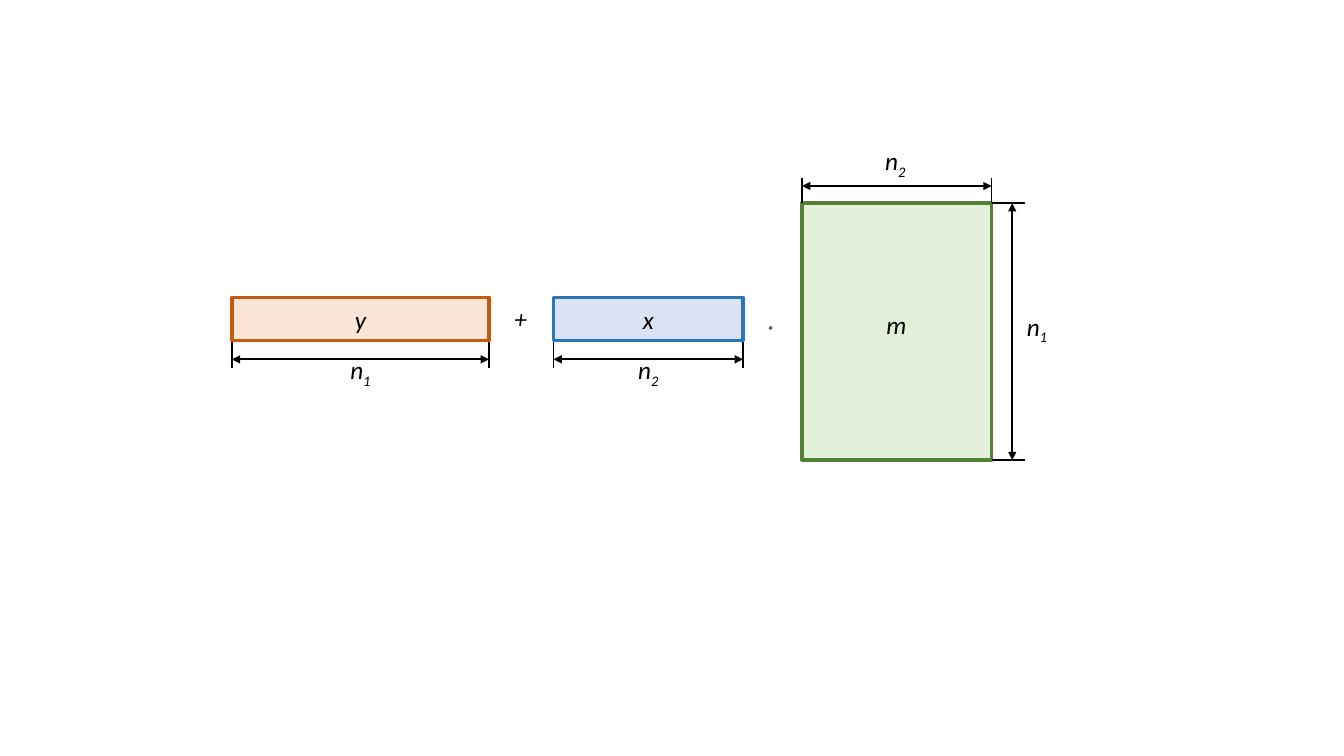
import pptx
import pptx.util
import pptx.dml.color
import pptx.enum.shapes
import pptx.enum.text
import pptx.oxml
import pptx.oxml.ns

RGB = pptx.dml.color.RGBColor
BLACK = RGB(0, 0, 0)
PEACH, RUST = RGB(0xFB, 0xE5, 0xD6), RGB(0xC5, 0x5A, 0x11)
PALE, BLUE = RGB(0xDA, 0xE3, 0xF3), RGB(0x2E, 0x75, 0xB6)
MINT, GREEN = RGB(0xE2, 0xF0, 0xD9), RGB(0x54, 0x82, 0x35)
MID = pptx.enum.text.MSO_ANCHOR.MIDDLE
TOP = pptx.enum.text.MSO_ANCHOR.TOP

deck = pptx.Presentation()
deck.slide_width = pptx.util.Inches(13.33)
deck.slide_height = pptx.util.Inches(7.5)
slide = deck.slides.add_slide(deck.slide_layouts[6])

# Square grid: 75 rows to the slide's height
CELL = deck.slide_height / 75
N1, N2 = 25.5, 18.8     # lengths of y and x, in cells
BAR = 4.3               # height of a vector


def grid(*cells):
    return [round(c * CELL) for c in cells]


def write(shape, text, sub="", anchor=MID):
    frame = shape.text_frame
    frame.word_wrap = True
    frame.vertical_anchor = anchor
    para = frame.paragraphs[0]
    para.alignment = pptx.enum.text.PP_ALIGN.CENTER
    for part, base in ((text, None), (sub, "-25000")):
        if part:
            run = para.add_run()
            run.text = part
            font = run.font
            font.name, font.size = "Calibri", pptx.util.Pt(18)
            font.italic = True
            font.color.rgb = BLACK
            if base:
                run._r.get_or_add_rPr().set("baseline", base)


def label(box, text, sub="", anchor=TOP):
    write(slide.shapes.add_textbox(*grid(*box)), text, sub, anchor)


def block(box, fill, edge):
    rect = slide.shapes.add_shape(
        pptx.enum.shapes.MSO_SHAPE.RECTANGLE, *grid(*box))
    rect.shadow.inherit = False
    rect.fill.solid()
    rect.fill.fore_color.rgb = fill
    rect.line.color.rgb = edge
    rect.line.width = pptx.util.Pt(2.5)
    return rect


def rule(ends, heads=False):
    line = slide.shapes.add_connector(
        pptx.enum.shapes.MSO_CONNECTOR.STRAIGHT, *grid(*ends))
    line.line.color.rgb = BLACK
    line.line.width = pptx.util.Pt(1.25)
    if heads:
        stroke = line.line._get_or_add_ln()
        for tag in ("a:headEnd", "a:tailEnd"):
            stroke.append(pptx.oxml.parse_xml(
                f'<{tag} {pptx.oxml.ns.nsdecls("a")} type="triangle"/>'))
    line.element.spPr.append(pptx.oxml.parse_xml(
        f'<a:effectLst {pptx.oxml.ns.nsdecls("a")}/>'))


def span(start, size, near, far, mid, upright=False):
    """Two ticks from near to far, and a double arrow at mid."""
    end = start + size
    lines = [(start, near, start, far), (end, near, end, far),
             (start, mid, end, mid)]
    for i, (a, b, c, d) in enumerate(lines):
        rule((b, a, d, c) if upright else (a, b, c, d), heads=i == 2)


def vector(box, name, sub, fill, edge):
    left, top, wide, high = box
    base = top + high
    write(block(box, fill, edge), name)
    span(left, wide, base + 0.15, base + 2.75, base + 1.85)
    label((left, base + 0.9, wide, 4), "n", sub)


def matrix(box, name, fill, edge):
    left, top, wide, high = box
    right = left + wide
    block(box, fill, edge)
    span(top, high, right, right + 3.35, right + 2.05, upright=True)
    span(left, wide, top - 2.5, top, top - 1.7)
    label((right + 2, top + 10.2, 5, 4), "n", "1")
    label((left - 0.3, top - 6.2, wide + 0.3, 4), "n", "2")
    label((left + 1.4, top + 9.9, 15.9, BAR), name, anchor=MID)


# y + x * m
vector((23, 29.5, N1, BAR), "y", "1", PEACH, RUST)
vector((54.9, 29.5, N2, BAR), "x", "2", PALE, BLUE)
matrix((79.55, 20.15, N2, N1), "m", MINT, GREEN)
label((48.5, 29.6, 6.3, 4), "+")
label((73.6, 29.8, 5.6, 3), "", "*")

deck.save("out.pptx")
